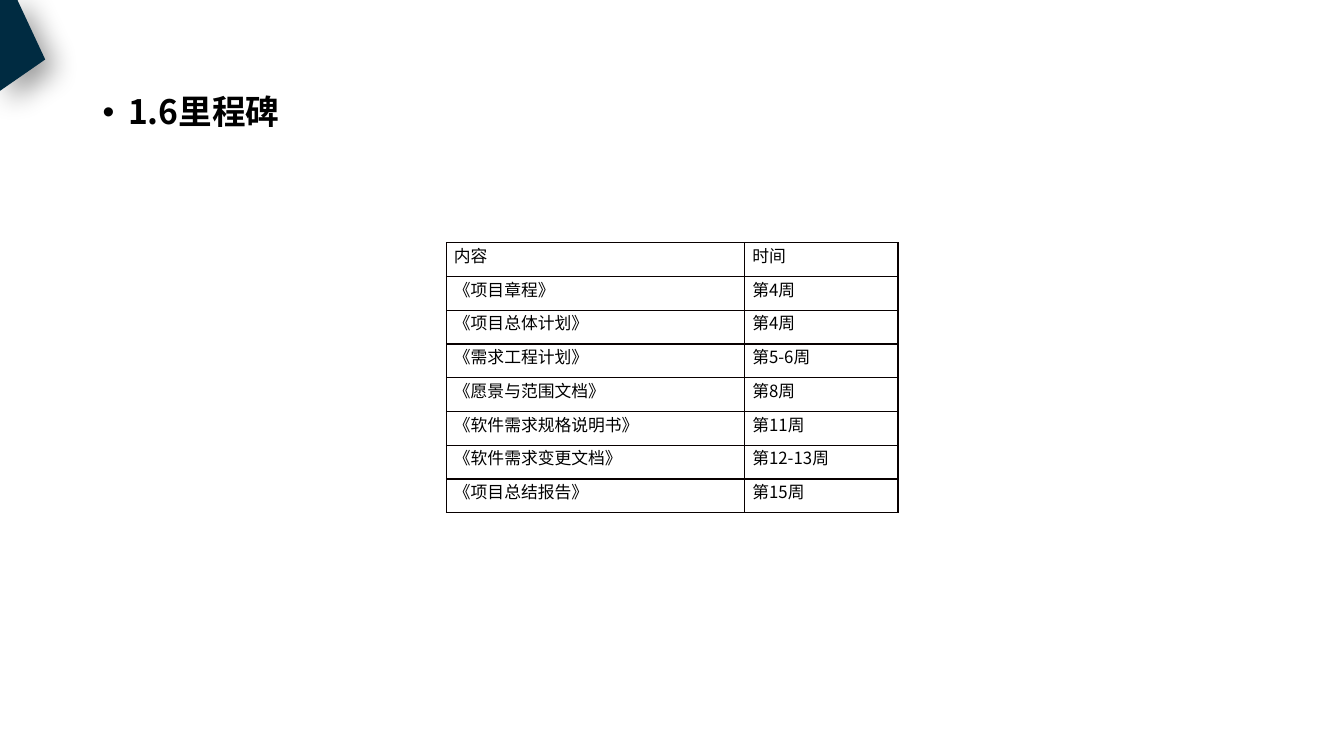
from dataclasses import dataclass

from lxml.etree import SubElement
from pptx import Presentation
from pptx.dml.color import RGBColor as Rgb
from pptx.oxml.ns import qn
from pptx.util import Cm, Pt


@dataclass(frozen=True)
class Theme:
    font: str = "Noto Sans CJK SC"
    ink: str = "000000"
    corner: str = "002B41"
    border: str = "080000"
    heading_size: int = 24
    table_size: int = 12
    border_width: int = 1


THEME = Theme()

MILESTONES = [
    ("内容", "时间"),
    ("《项目章程》", "第4周"),
    ("《项目总体计划》", "第4周"),
    ("《需求工程计划》", "第5-6周"),
    ("《愿景与范围文档》", "第8周"),
    ("《软件需求规格说明书》", "第11周"),
    ("《软件需求变更文档》", "第12-13周"),
    ("《项目总结报告》", "第15周"),
]
COLUMN_WIDTHS = (7.52, 3.86)
ROW_HEIGHT = 0.85


def add_color(parent, color):
    fill = SubElement(parent, qn("a:solidFill"))
    return SubElement(fill, qn("a:srgbClr"), val=color)


def format_text(paragraph, size, bold=False):
    for run in paragraph.runs:
        run.font.size = Pt(size)
        run.font.bold = bold
        run.font.color.rgb = Rgb.from_string(THEME.ink)
        run.font.name = THEME.font
        SubElement(run.font._element, qn("a:ea"), typeface=THEME.font)


def add_bullet_heading(slide, text, left, top, width, height):
    heading = slide.shapes.add_textbox(Cm(left), Cm(top), Cm(width), Cm(height))
    heading.text_frame.word_wrap = True
    paragraph = heading.text_frame.paragraphs[0]
    paragraph.text = text
    paragraph.line_spacing = 0.9
    paragraph.space_before = Pt(10)
    format_text(paragraph, THEME.heading_size, bold=True)

    # Hanging bullet
    properties = paragraph._p.get_or_add_pPr()
    properties.set("marL", str(Cm(0.64)))
    properties.set("indent", str(-Cm(0.64)))
    SubElement(properties, qn("a:buFont"), typeface="Arial")
    SubElement(properties, qn("a:buChar"), char="•")


def add_corner(slide, points):
    start, *others = [(Cm(x), Cm(y)) for x, y in points]
    builder = slide.shapes.build_freeform(*start)
    builder.add_line_segments(others, close=True)
    corner = builder.convert_to_shape()
    corner.fill.solid()
    corner.fill.fore_color.rgb = Rgb.from_string(THEME.corner)
    corner.line.fill.background()

    # Soft shadow towards the lower right
    corner.shadow.inherit = False
    effects = corner._element.spPr.find(qn("a:effectLst"))
    shadow = SubElement(effects, qn("a:outerShdw"), blurRad=str(Pt(20)),
                        dist=str(Pt(10)), dir=str(45 * 60000),
                        algn="tl", rotWithShape="0")
    shade = SubElement(shadow, qn("a:srgbClr"), val=THEME.ink)
    SubElement(shade, qn("a:alpha"), val="40000")


def add_borders(cell):
    properties = cell._tc.get_or_add_tcPr()
    for side in ("lnL", "lnR", "lnT", "lnB"):
        border = SubElement(properties, qn(f"a:{side}"),
                            w=str(Pt(THEME.border_width)))
        add_color(border, THEME.border)


def fill_cell(cell, text):
    cell.margin_left = cell.margin_right = Cm(0.19)
    cell.margin_top = cell.margin_bottom = 0
    add_borders(cell)
    cell.fill.background()
    cell.text_frame.text = text
    format_text(cell.text_frame.paragraphs[0], THEME.table_size)


def add_milestone_table(slide, left, top):
    frame = slide.shapes.add_table(
        len(MILESTONES), len(COLUMN_WIDTHS), Cm(left), Cm(top),
        Cm(sum(COLUMN_WIDTHS)), Cm(ROW_HEIGHT * len(MILESTONES)))
    milestones = frame.table
    milestones.first_row = milestones.horz_banding = False
    for column, width in zip(milestones.columns, COLUMN_WIDTHS):
        column.width = Cm(width)
    for row, entries in zip(milestones.rows, MILESTONES):
        row.height = Cm(ROW_HEIGHT)
        for cell, text in zip(row.cells, entries):
            fill_cell(cell, text)


def main():
    deck = Presentation()
    deck.slide_width, deck.slide_height = Cm(33.87), Cm(19.05)
    slide = deck.slides.add_slide(deck.slide_layouts[6])

    # Section heading
    add_bullet_heading(slide, "1.6里程碑", 2.34, 2.29, 29.21, 14.88)
    # Corner decoration
    add_corner(slide, [(0.43, -0.02), (0, -0.02), (0, 2.29), (1.14, 1.5)])
    # Milestones and their weeks
    add_milestone_table(slide, 11.25, 6.12)

    deck.save("out.pptx")


main()
